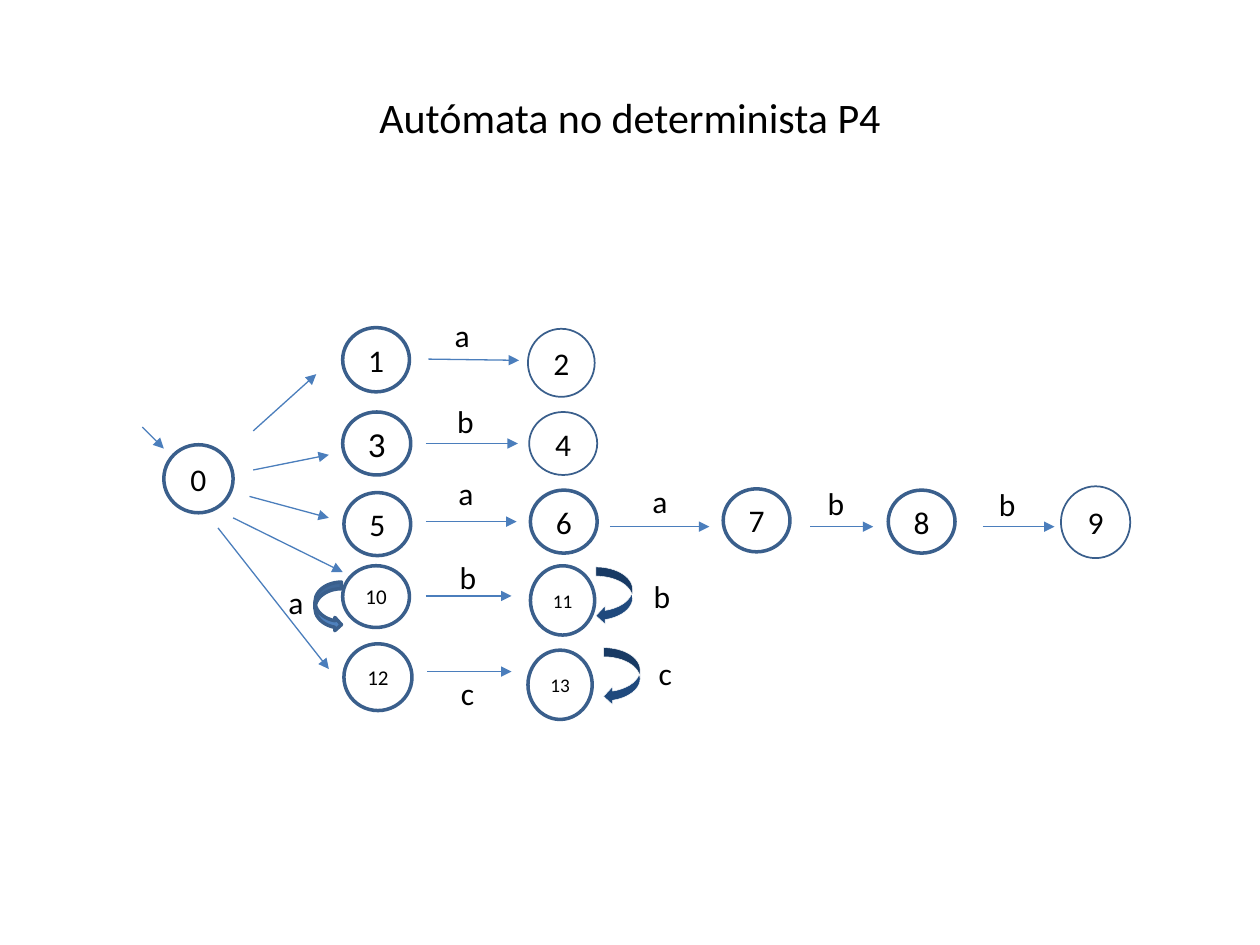
from pptx import Presentation
from pptx.dml.color import RGBColor
from pptx.enum.shapes import MSO_CONNECTOR, MSO_SHAPE
from pptx.enum.text import MSO_ANCHOR, PP_ALIGN
from pptx.oxml.ns import qn
from pptx.util import Inches, Pt
from lxml import etree

WHITE = RGBColor(0xFF, 0xFF, 0xFF)
BLACK = RGBColor(0, 0, 0)
OUTLINE = RGBColor(0x3A, 0x5F, 0x8C)
ARROW = RGBColor(0x4B, 0x7E, 0xBC)
NAVY = RGBColor(0x1F, 0x49, 0x7D)
BLUE = RGBColor(0x4F, 0x81, 0xBD)

TITLE = "Autómata no determinista P4"
STATES = [
    ("0", 1.3, 3.53, 0.55, 0.54, 18, 2),
    ("1", 2.72, 2.6, 0.53, 0.51, 18, 2),
    ("2", 4.19, 2.61, 0.53, 0.54, 18, 1),
    ("3", 2.72, 3.27, 0.54, 0.5, 20, 2),
    ("4", 4.2, 3.27, 0.54, 0.5, 18, 1),
    ("5", 2.73, 3.91, 0.53, 0.5, 18, 2),
    ("6", 4.21, 3.89, 0.53, 0.5, 18, 2),
    ("7", 5.74, 3.88, 0.53, 0.5, 18, 2),
    ("8", 7.05, 3.89, 0.53, 0.5, 18, 2),
    ("9", 8.42, 3.86, 0.55, 0.57, 18, 1),
    ("10", 2.72, 4.49, 0.53, 0.49, 12, 2),
    ("11", 4.21, 4.49, 0.51, 0.55, 11, 2),
    ("12", 2.73, 5.11, 0.54, 0.53, 12, 2),
    ("13", 4.19, 5.16, 0.51, 0.55, 11, 2),
]
TRANSITIONS = [
    (1.13, 3.39, 1.3, 3.56),
    (2.01, 3.42, 2.51, 2.97),
    (2.01, 3.73, 2.61, 3.61),
    (1.98, 3.94, 2.61, 4.11),
    (1.85, 4.11, 2.72, 4.54),
    (1.73, 4.19, 2.61, 5.31),
    (3.4, 2.85, 4.12, 2.86),
    (3.38, 3.52, 4.11, 3.52),
    (3.38, 4.14, 4.1, 4.14),
    (3.38, 4.73, 4.06, 4.73),
    (3.39, 5.33, 4.06, 5.33),
    (4.84, 4.18, 5.63, 4.18),
    (6.43, 4.18, 6.93, 4.18),
    (7.8, 4.18, 8.37, 4.18),
]
LOOPS = [
    (MSO_SHAPE.CURVED_RIGHT_ARROW, 2.5, 4.62, 0.21, 0.39, BLUE, OUTLINE, 2),
    (MSO_SHAPE.CURVED_LEFT_ARROW, 4.73, 4.5, 0.29, 0.46, NAVY, WHITE, 0.25),
    (MSO_SHAPE.CURVED_LEFT_ARROW, 4.79, 5.14, 0.29, 0.46, NAVY, WHITE, 0.25),
]
LABELS = [
    ("a", 3.51, 2.46), ("b", 3.53, 3.14), ("a", 3.54, 3.71),
    ("b", 3.55, 4.38), ("c", 3.56, 5.3), ("a", 2.19, 4.58),
    ("b", 5.09, 4.53), ("c", 5.13, 5.14), ("a", 5.08, 3.78),
    ("b", 6.47, 3.79), ("b", 7.83, 3.8),
]

deck = Presentation()
deck.slide_width, deck.slide_height = Inches(10), Inches(7.5)
page = deck.slides.add_slide(deck.slide_layouts[6])


def write(shape, text, size, align, anchor, wrap):
    frame = shape.text_frame
    frame.text = text
    frame.word_wrap = wrap
    frame.vertical_anchor = anchor
    para = frame.paragraphs[0]
    para.alignment = align
    font = para.runs[0].font
    font.name, font.size = "Calibri", Pt(size)
    font.color.rgb = BLACK


def add_figure(kind, left, top, width, height, fill, line, weight):
    shape = page.shapes.add_shape(
        kind, Inches(left), Inches(top), Inches(width), Inches(height))
    shape.shadow.inherit = False
    shape.fill.solid()
    shape.fill.fore_color.rgb = fill
    shape.line.color.rgb = line
    shape.line.width = Pt(weight)
    return shape


def add_text(text, left, top, width, height, size, align, anchor, wrap):
    box = page.shapes.add_textbox(
        Inches(left), Inches(top), Inches(width), Inches(height))
    write(box, text, size, align, anchor, wrap)


def add_arrow(*ends):
    arrow = page.shapes.add_connector(
        MSO_CONNECTOR.STRAIGHT, *[Inches(end) for end in ends])
    arrow.line.color.rgb = ARROW
    arrow.line.width = Pt(0.75)
    tail = etree.SubElement(arrow.line._get_or_add_ln(), qn("a:tailEnd"))
    tail.set("type", "triangle")
    etree.SubElement(arrow._element.spPr, qn("a:effectLst"))


add_text(TITLE, 0.5, 0.3, 9, 1.25, 24, PP_ALIGN.CENTER, MSO_ANCHOR.MIDDLE, True)
for ends in TRANSITIONS:
    add_arrow(*ends)
for name, left, top, width, height, size, weight in STATES:
    state = add_figure(MSO_SHAPE.OVAL, left, top, width, height, WHITE, OUTLINE, weight)
    write(state, name, size, PP_ALIGN.CENTER, MSO_ANCHOR.MIDDLE, False)
for loop in LOOPS:
    add_figure(*loop)
for text, left, top in LABELS:
    add_text(text, left, top, 0.33, 0.4, 18, PP_ALIGN.LEFT, MSO_ANCHOR.TOP, False)

deck.save("out.pptx")
